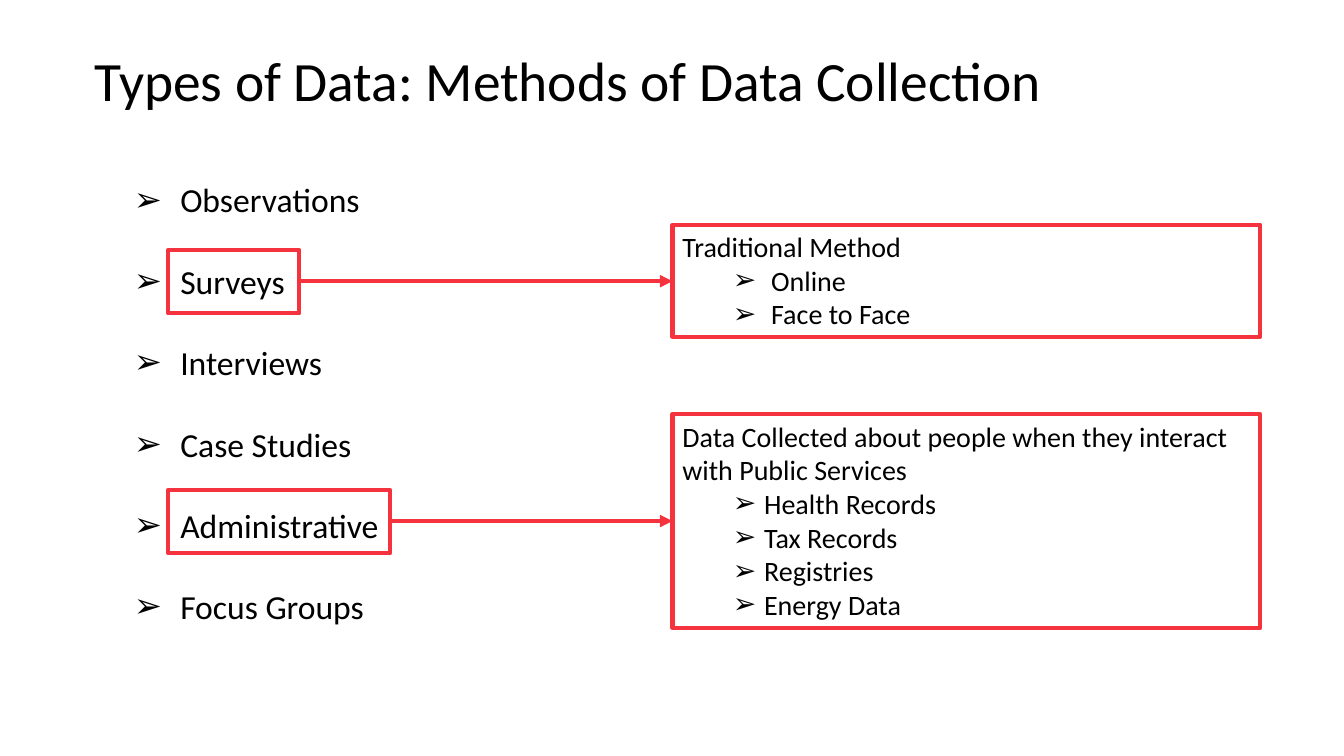
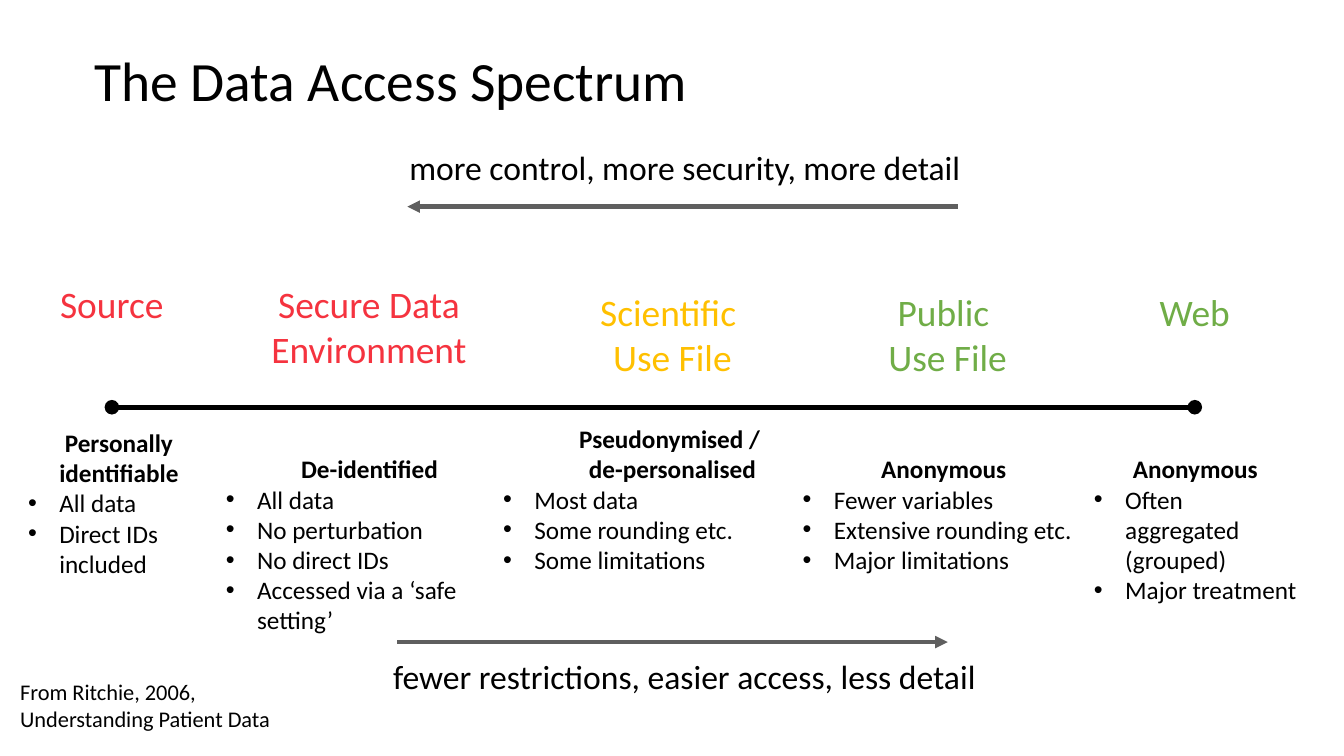
from lxml.etree import SubElement
from pptx import Presentation
from pptx.dml.color import RGBColor
from pptx.enum.shapes import MSO_CONNECTOR, MSO_SHAPE
from pptx.enum.text import MSO_ANCHOR, PP_ALIGN
from pptx.oxml.ns import qn
from pptx.util import Inches, Pt

COLORS = {
    "text": "000000",
    "paper": "FFFFFF",
    "red": "F5333F",
    "amber": "FFC000",
    "green": "70AD47",
    "gray": "5F5F5F",
}
FONT = "Calibri"
SLIM_INSETS = (0, 0, 0.06, 0)
BOX_INSETS = (0.1, 0.05, 0.1, 0.05)


def write_text(shape, heads, size, items=(), mark="•", margin=0.0, hang=0.31, gap=0,
               color="text", bold=False, align=PP_ALIGN.LEFT, insets=SLIM_INSETS):
    frame = shape.text_frame
    frame.word_wrap = True
    frame.vertical_anchor = MSO_ANCHOR.TOP
    frame.margin_left, frame.margin_top, frame.margin_right, frame.margin_bottom = map(Inches, insets)
    lines = [(head, False) for head in heads] + [(item, True) for item in items]
    for index, (text, bulleted) in enumerate(lines):
        para = frame.paragraphs[0] if index == 0 else frame.add_paragraph()
        para.text = text
        para.alignment = PP_ALIGN.LEFT if bulleted else align
        properties = para._p.get_or_add_pPr()
        if bulleted:
            properties.set("marL", str(Inches(margin + hang)))
            properties.set("indent", str(-Inches(hang)))
            SubElement(properties, qn("a:buFont"), typeface="Arial")
            SubElement(properties, qn("a:buChar"), char=mark)
        elif insets == SLIM_INSETS:
            properties.set("marL", str(Inches(0.06)))
        if index and gap:
            para.space_before = Pt(gap)
        para.font.name = FONT
        para.font.size = Pt(size)
        para.font.bold = bold and not bulleted
        para.font.color.rgb = RGBColor.from_string(COLORS[color])


def add_line(page, start, end, color, width=3, head=None, tail="triangle"):
    line = page.shapes.add_connector(MSO_CONNECTOR.STRAIGHT, *map(Inches, start + end))
    line.line.color.rgb = RGBColor.from_string(COLORS[color])
    line.line.width = Pt(width)
    outline = line.line._get_or_add_ln()
    if head:
        SubElement(outline, qn("a:headEnd"), type=head)
    SubElement(outline, qn("a:tailEnd"), type=tail)
    SubElement(line._element.spPr, qn("a:effectLst"))


deck = Presentation()
deck.slide_width = Inches(13.33)
deck.slide_height = Inches(7.5)

pages = []
for title in ("Types of Data: Methods of Data Collection", "The Data Access Spectrum"):
    page = deck.slides.add_slide(deck.slide_layouts[6])
    box = page.shapes.add_textbox(Inches(0.84), Inches(0.53), Inches(11.66), Inches(0.6))
    write_text(box, [title], 39.6, insets=(0.1, 0, 0.1, 0))
    box.text_frame.paragraphs[0].line_spacing = 0.9
    pages.append(page)
methods_page, spectrum_page = pages

methods = ["Observations", "Surveys", "Interviews", "Case Studies", "Administrative", "Focus Groups"]
box = methods_page.shapes.add_textbox(Inches(1.23), Inches(1.73), Inches(2.7), Inches(4.85))
write_text(box, [], 24, methods, "➢", hang=0.46, gap=29.3, insets=BOX_INSETS)

details = [
    (2.48, 1.3, 2.23, 1.11, 0.38, "Traditional Method", ["Online", "Face to Face"]),
    (4.86, 2.2, 4.11, 2.12, 0.31,
     "Data Collected about people when they interact with Public Services",
     ["Health Records", "Tax Records", "Registries", "Energy Data"]),
]
for frame_top, frame_width, top, height, hang, heading, examples in details:
    frame = methods_page.shapes.add_shape(
        MSO_SHAPE.RECTANGLE, Inches(1.67), Inches(frame_top), Inches(frame_width), Inches(0.63))
    frame.fill.background()
    panel = methods_page.shapes.add_shape(
        MSO_SHAPE.RECTANGLE, Inches(6.67), Inches(top), Inches(5.83), Inches(height))
    panel.fill.solid()
    panel.fill.fore_color.rgb = RGBColor.from_string(COLORS["paper"])
    for shape in (frame, panel):
        shape.shadow.inherit = False
        shape.line.color.rgb = RGBColor.from_string(COLORS["red"])
        shape.line.width = Pt(3)
    write_text(panel, [heading], 20, examples, "➢", margin=0.5, hang=hang, insets=BOX_INSETS)
    middle = frame_top + 0.31
    add_line(methods_page, (1.67 + frame_width, middle), (6.67, middle), "red")

add_line(spectrum_page, (1.11, 4.04), (11.85, 4.04), "text", 3.5, "oval", "oval")
add_line(spectrum_page, (9.5, 2.05), (4.04, 2.05), "gray")
add_line(spectrum_page, (3.94, 6.37), (9.4, 6.37), "gray")

captions = [
    (4, 1.46, 6.2, 24, ["more control, more security, more detail"]),
    (3.84, 6.51, 6.5, 24, ["fewer restrictions, easier access, less detail"]),
    (0.14, 6.73, 3.03, 16, ["From Ritchie, 2006,", "Understanding Patient Data"]),
]
for left, top, width, size, lines in captions:
    box = spectrum_page.shapes.add_textbox(
        Inches(left), Inches(top), Inches(width), Inches(len(lines) * size / 60))
    write_text(box, lines, size)

label_width = 2.2
labels = [
    (1.11, 2.79, "red", ["Source"]),
    (3.66, 2.79, "red", ["Secure Data Environment"]),
    (6.67, 2.87, "amber", ["Scientific ", "Use File"]),
    (9.4, 2.87, "green", ["Public ", "Use File"]),
    (11.85, 2.87, "green", ["Web"]),
]
for center, top, color, lines in labels:
    box = spectrum_page.shapes.add_textbox(
        Inches(center - label_width / 2), Inches(top), Inches(label_width), Inches(0.9))
    write_text(box, lines, 26.7, color=color, align=PP_ALIGN.CENTER)

columns = [
    (0.18, 4.19, 2, BOX_INSETS, ["Personally identifiable"], ["All data", "Direct IDs included"]),
    (2.18, 4.5, 2.97, SLIM_INSETS, ["De-identified"],
     ["All data", "No perturbation", "No direct IDs", "Accessed via a ‘safe setting’"]),
    (4.93, 4.2, 3.48, SLIM_INSETS, ["Pseudonymised / ", "de-personalised"],
     ["Most data", "Some rounding etc.", "Some limitations"]),
    (7.9, 4.5, 2.92, SLIM_INSETS, ["Anonymous"],
     ["Fewer variables", "Extensive rounding etc.", "Major limitations"]),
    (10.79, 4.5, 2.13, SLIM_INSETS, ["Anonymous"],
     ["Often aggregated (grouped)", "Major treatment"]),
]
for left, top, width, insets, heads, items in columns:
    box = spectrum_page.shapes.add_textbox(Inches(left), Inches(top), Inches(width), Inches(1.6))
    margin = 0.06 if insets == SLIM_INSETS else 0
    write_text(box, heads, 18, items, margin=margin, bold=True, align=PP_ALIGN.CENTER, insets=insets)

deck.save("out.pptx")
